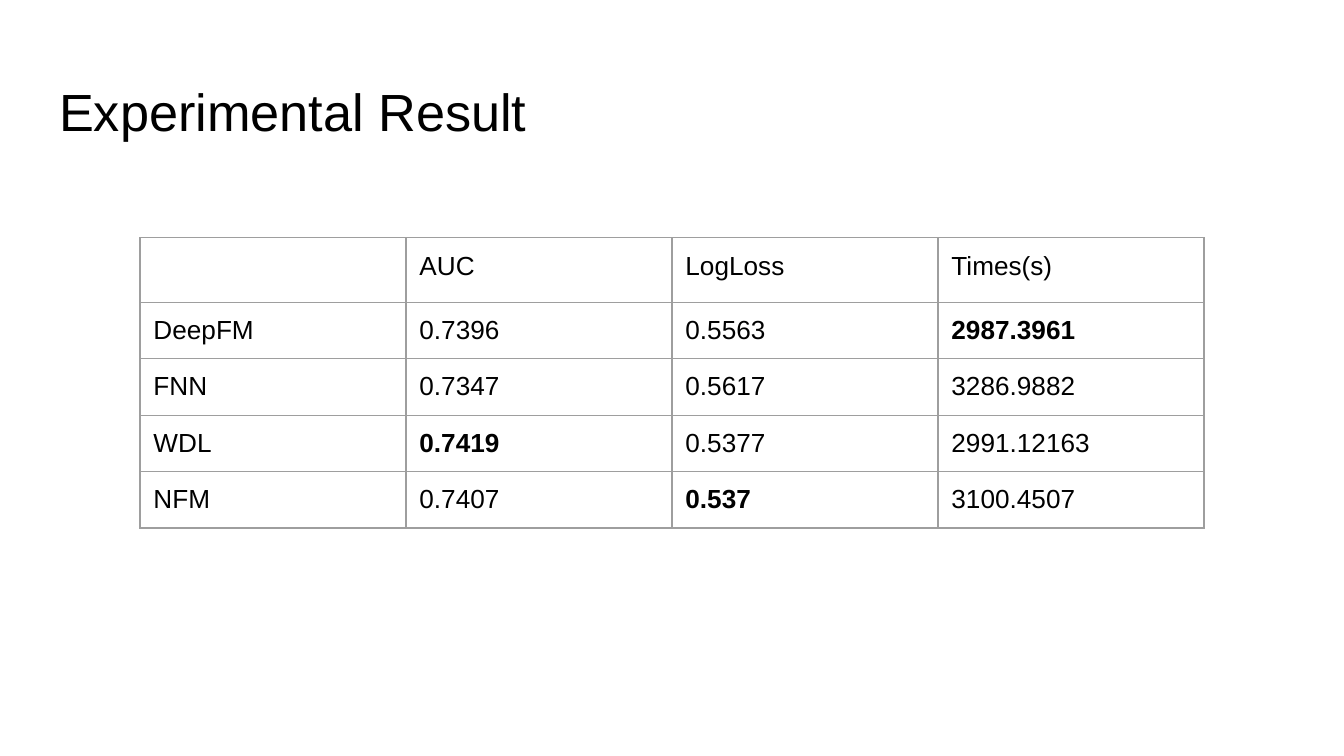
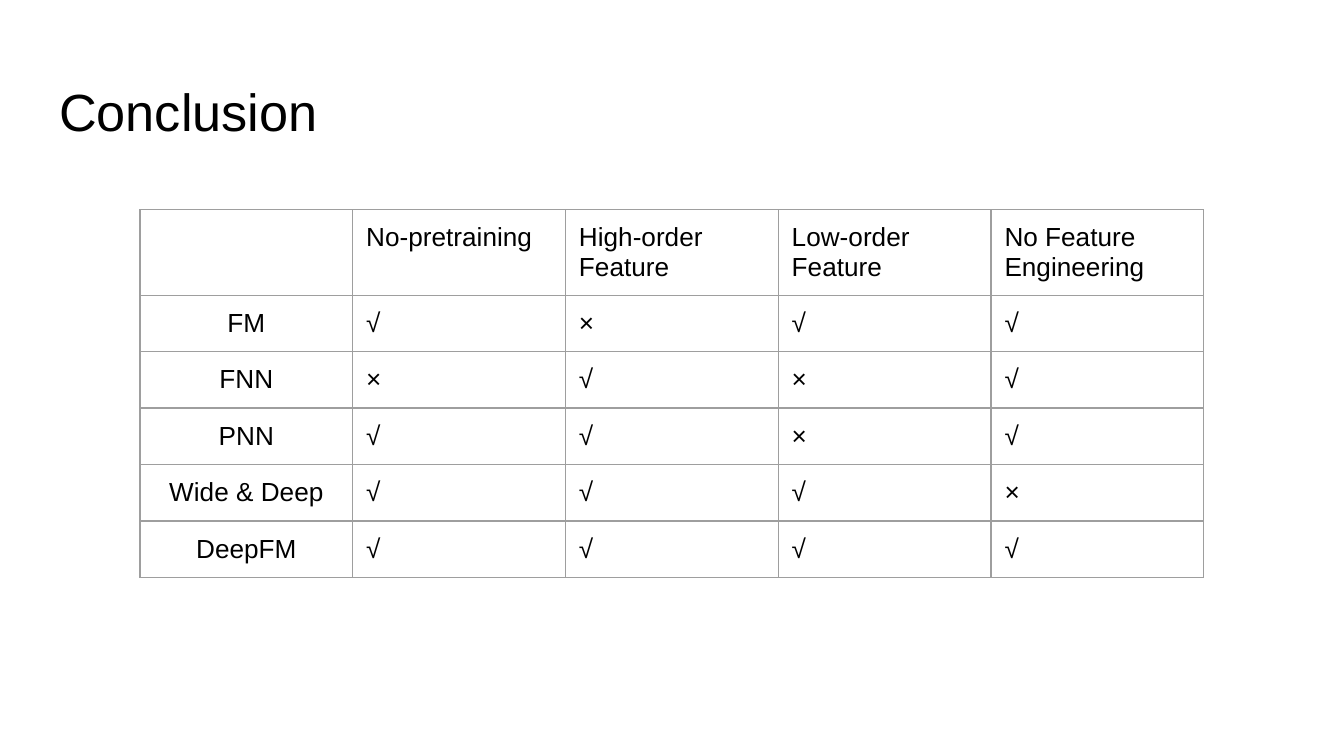
import pptx
import pptx.util
import pptx.dml.color
import pptx.enum.text
import pptx.oxml
import pptx.oxml.ns

Inches, Pt = pptx.util.Inches, pptx.util.Pt
Align = pptx.enum.text.PP_ALIGN

FONT = "Arial"
TEXT, BORDER = "000000", "9E9E9E"
PAGE_WIDTH = 10
PAGE_HEIGHT = PAGE_WIDTH * 9 / 16
TABLE_LEFT = 75 / 72
TABLE_WIDTH = PAGE_WIDTH - 2 * TABLE_LEFT
ROW_HEIGHT = 0.42

SLIDES = [
    {
        "title": "Experimental Result",
        "top": 1.77,
        "header_height": 0.48,
        "label_align": Align.LEFT,
        "bold": {"2987.3961", "0.7419", "0.537"},
        "rows": [
            ["", "AUC", "LogLoss", "Times(s)"],
            ["DeepFM", "0.7396", "0.5563", "2987.3961"],
            ["FNN", "0.7347", "0.5617", "3286.9882"],
            ["WDL", "0.7419", "0.5377", "2991.12163"],
            ["NFM", "0.7407", "0.537", "3100.4507"],
        ],
    },
    {
        "title": "Conclusion",
        "top": 1.56,
        "header_height": 0.63,
        "label_align": Align.CENTER,
        "bold": set(),
        "rows": [
            ["", "No-pretraining ", "High-order Feature ", "Low-order Feature",
             "No Feature \nEngineering"],
            ["FM", "√", "×", "√", "√"],
            ["FNN", "×", "√", "×", "√"],
            ["PNN", "√", "√", "×", "√"],
            ["Wide & Deep", "√", "√", "√", "×"],
            ["DeepFM", "√", "√", "√", "√"],
        ],
    },
]


def color(value):
    return pptx.dml.color.RGBColor.from_string(value)


def format_text(frame, size, align, bold=False):
    for para in frame.paragraphs:
        para.alignment = align
        for span in para.runs:
            span.font.name = FONT
            span.font.size = Pt(size)
            span.font.bold = bold
            span.font.color.rgb = color(TEXT)
        if not para.runs:
            para._p.append(pptx.oxml.parse_xml(
                f'<a:endParaRPr {pptx.oxml.ns.nsdecls("a")} sz="{size * 100}"/>'))


def set_margins(target):
    target.margin_left = target.margin_right = Inches(0.1)
    target.margin_top = target.margin_bottom = Inches(0.1)


def set_borders(cell):
    properties = cell._tc.get_or_add_tcPr()
    for index, side in enumerate(("lnL", "lnR", "lnT", "lnB")):
        line = pptx.oxml.parse_xml(
            f'<a:{side} {pptx.oxml.ns.nsdecls("a")} w="{int(Pt(0.75))}">'
            f'<a:solidFill><a:srgbClr val="{BORDER}"/></a:solidFill></a:{side}>')
        properties.insert(index, line)


def add_title(page, text):
    title = page.shapes.title
    title.left, title.top = Inches(0.34), Inches(0.49)
    title.width, title.height = Inches(9.32), Inches(0.63)
    frame = title.text_frame
    frame.text = text
    frame.word_wrap = True
    frame.auto_size = pptx.enum.text.MSO_AUTO_SIZE.NONE
    frame.vertical_anchor = pptx.enum.text.MSO_ANCHOR.TOP
    set_margins(frame)
    format_text(frame, 28, Align.LEFT)


def add_grid(page, content):
    rows = content["rows"]
    heights = [content["header_height"]] + [ROW_HEIGHT] * (len(rows) - 1)
    table = page.shapes.add_table(
        len(rows), len(rows[0]), Inches(TABLE_LEFT), Inches(content["top"]),
        Inches(TABLE_WIDTH), Inches(sum(heights))).table
    table.first_row = table.horz_banding = False
    for row, height in zip(table.rows, heights):
        row.height = Inches(height)
    for r, values in enumerate(rows):
        for c, value in enumerate(values):
            cell = table.cell(r, c)
            cell.text_frame.text = value
            cell.fill.background()
            set_margins(cell)
            set_borders(cell)
            align = content["label_align"] if c == 0 else Align.LEFT
            format_text(cell.text_frame, 14, align, value in content["bold"])


deck = pptx.Presentation()
deck.slide_width, deck.slide_height = Inches(PAGE_WIDTH), Inches(PAGE_HEIGHT)
for content in SLIDES:
    page = deck.slides.add_slide(deck.slide_layouts[5])
    add_title(page, content["title"])
    add_grid(page, content)
deck.save("out.pptx")
